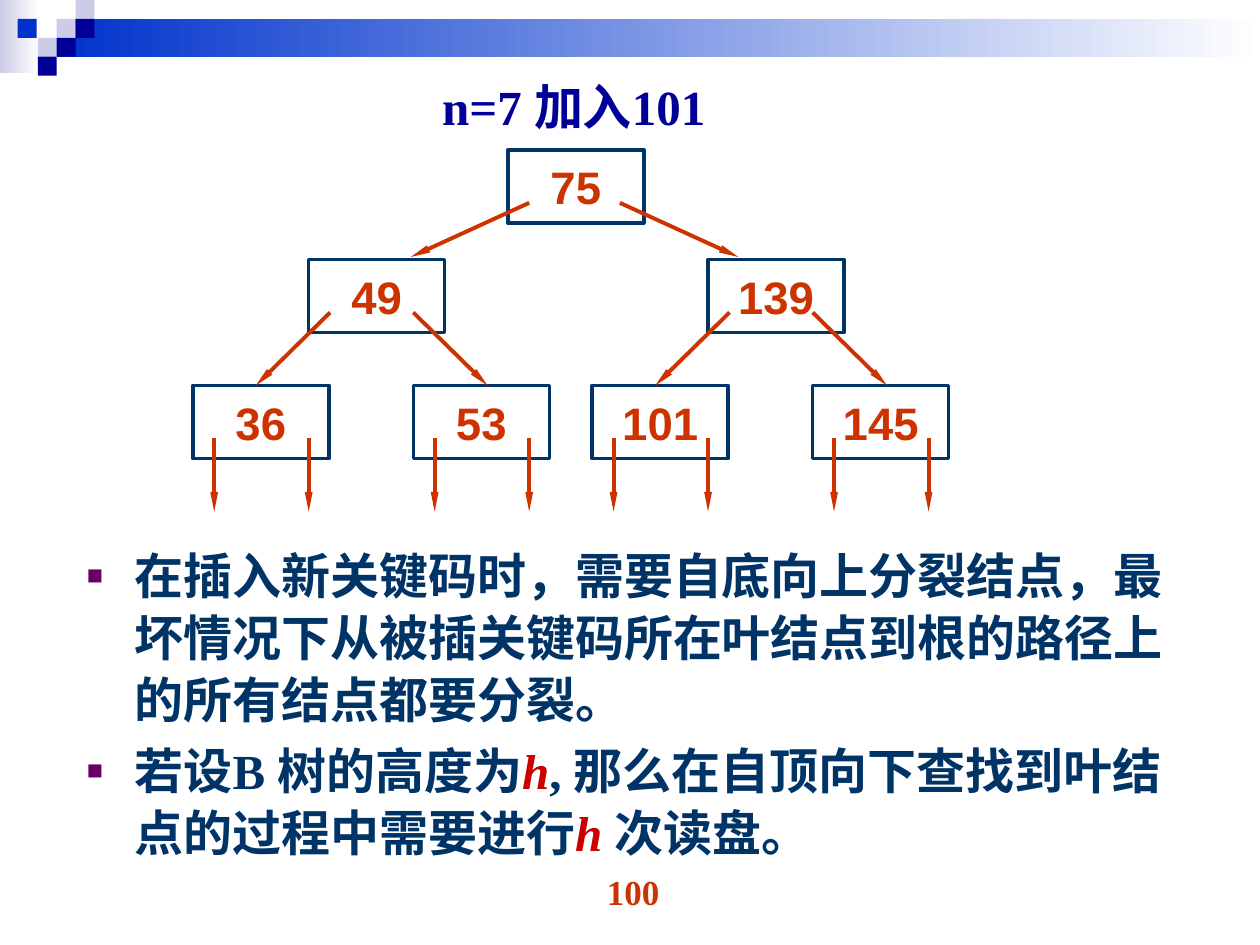
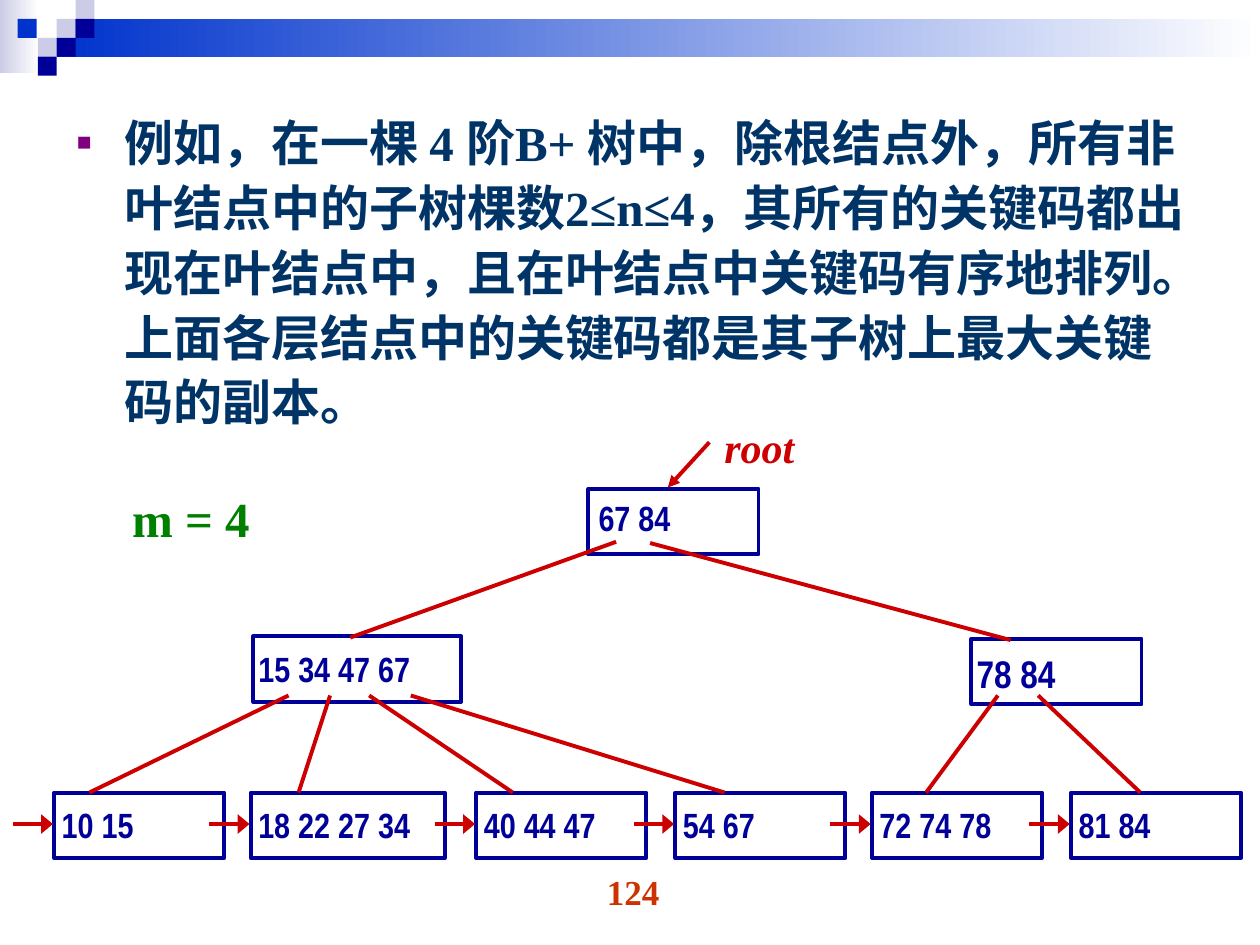
"""Build two slides that show a B tree insertion and a B+ tree of order 4."""
from lxml.etree import SubElement
from pptx import Presentation
from pptx.dml.color import RGBColor
from pptx.enum.shapes import MSO_CONNECTOR, MSO_SHAPE
from pptx.enum.text import MSO_ANCHOR, MSO_AUTO_SIZE, PP_ALIGN
from pptx.oxml.ns import qn
from pptx.util import Inches, Pt

COLORS = {
    name: RGBColor.from_string(value)
    for name, value in {
        "navy": "000099", "blue": "0033CC", "lavender": "CCCCE6", "white": "FFFFFF",
        "ink": "003366", "orange": "CC3300", "red": "CC0000", "green": "008000",
        "purple": "660066", "violet": "800080",
    }.items()
}
SERIF, SANS, NARROW = "Times New Roman", "Arial", "Arial Narrow"


def style_font(font, name, size, color, italic=False):
    font.name, font.size, font.bold, font.italic = name, Pt(size), True, italic
    font.color.rgb = COLORS[color]


def add_line(slide, start, end, color, head=None):
    line = slide.shapes.add_connector(
        MSO_CONNECTOR.STRAIGHT, *[Inches(value) for value in (*start, *end)])
    line.line.color.rgb = COLORS[color]
    line.line.width = Pt(2.25)
    if head:
        head_width, head_length = head
        SubElement(line.line._get_or_add_ln(), qn("a:tailEnd"),
                   type="triangle", w=head_width, len=head_length)
    SubElement(line._element.spPr, qn("a:effectLst"))


presentation = Presentation()
presentation.slide_width, presentation.slide_height = Inches(10), Inches(7.5)
layout = presentation.slide_layouts[1]
insertion_slide, plus_tree_slide = [presentation.slides.add_slide(layout) for _ in range(2)]

bands = [(0, 0, 0.31, 0.58, "lavender"), (0.45, 0.15, 9.55, 0.3, "blue")]
squares = [
    (0.45, 0.15, "lavender"), (0.6, 0, "lavender"), (0.6, 0.15, "navy"),
    (0.3, 0.3, "lavender"), (0.14, 0.15, "blue"), (0.45, 0.3, "navy"), (0.3, 0.45, "navy"),
]
for slide in presentation.slides:
    for left, top, width, height, color in bands:
        band = slide.shapes.add_shape(
            MSO_SHAPE.RECTANGLE, Inches(left), Inches(top), Inches(width), Inches(height))
        band.shadow.inherit = False
        band.line.fill.background()
        band.fill.gradient()
        band.fill.gradient_angle = 0
        for stop, stop_color in zip(band.fill.gradient_stops, (color, "white")):
            stop.color.rgb = COLORS[stop_color]
    for left, top, color in squares:
        square = slide.shapes.add_shape(
            MSO_SHAPE.RECTANGLE, Inches(left), Inches(top), Inches(0.15), Inches(0.15))
        square.shadow.inherit = False
        square.line.fill.background()
        square.fill.solid()
        square.fill.fore_color.rgb = COLORS[color]

title = insertion_slide.shapes.title
title.left, title.top, title.width, title.height = [
    Inches(value) for value in (3.41, 0.56, 2.8, 0.57)]
title.text_frame.text = "n=7 加入101"
title.text_frame.word_wrap = True
title.text_frame.auto_size = MSO_AUTO_SIZE.NONE
title.text_frame.vertical_anchor = MSO_ANCHOR.TOP
title.text_frame.paragraphs[0].alignment = PP_ALIGN.LEFT
style_font(title.text_frame.paragraphs[0].font, SERIF, 28, "navy")
empty_title = plus_tree_slide.shapes.title._element
empty_title.getparent().remove(empty_title)

insertion_points = [
    [("在插入新关键码时，需要自底向上分裂结点，最坏情况下从被插关键码所在叶结点到根的路径上的所有结点都要分裂。",
      SANS, "ink")],
    [("若", SANS, "ink"), ("设B 树的高度为", SERIF, "ink"), ("h", SERIF, "red"),
     (", 那么在自顶向下查找到叶结点的过程中需要进行", SERIF, "ink"),
     ("h ", SERIF, "red"), ("次读盘。", SERIF, "ink")],
]
plus_tree_points = [
    [("例如，在一棵 4 阶B+ 树中，除根结点外，所有非叶结点中的子树棵数2≤n≤4，其所有的关键码都出现在叶结点中，"
      "且在叶结点中关键码有序地排列。上面各层结点中的关键码都是其子树上最大关键码的副本。", SERIF, "ink")],
]
bodies = [
    (insertion_slide, (0.59, 4.26, 9, 2.95), insertion_points, 1.05, "purple", 55),
    (plus_tree_slide, (0.51, 0.8, 9, 6.18), plus_tree_points, 1.1, "violet", 50),
]
for slide, box, points, spacing, bullet_color, bullet_size in bodies:
    body = slide.placeholders[1]
    body.left, body.top, body.width, body.height = [Inches(value) for value in box]
    frame = body.text_frame
    frame.auto_size = MSO_AUTO_SIZE.NONE
    for index, runs in enumerate(points):
        paragraph = frame.add_paragraph() if index else frame.paragraphs[0]
        properties = paragraph._p.get_or_add_pPr()
        properties.set("marL", str(Inches(0.38)))
        properties.set("indent", str(Inches(-0.38)))
        bullet_fill = SubElement(properties, qn("a:buClr"))
        SubElement(bullet_fill, qn("a:srgbClr"), val=str(COLORS[bullet_color]))
        SubElement(properties, qn("a:buSzPct"), val=str(bullet_size * 1000))
        SubElement(properties, qn("a:buFont"), typeface=SANS)
        SubElement(properties, qn("a:buChar"), char="■")
        paragraph.line_spacing = spacing
        paragraph.space_before = Pt(5.2 if index else 0)
        for text, font_name, color in runs:
            run = paragraph.add_run()
            run.text = text
            style_font(run.font, font_name, 28, color, italic=color == "red")

tree_levels = [
    (1.19, [(4.03, "75")], 0.89, 0.94, 0.43),
    (2.06, [(2.45, "49"), (5.62, "139")], 0.83, 0.59, 0.58),
    (3.06, [(1.53, "36"), (3.28, "53"), (4.7, "101"), (6.45, "145")], 0.92, 0, 0.58),
]
for top, nodes, right_start, spread, drop in tree_levels:
    for left, key in nodes:
        node = insertion_slide.shapes.add_shape(
            MSO_SHAPE.RECTANGLE, Inches(left), Inches(top), Inches(1.08), Inches(0.58))
        node.shadow.inherit = False
        node.fill.solid()
        node.fill.fore_color.rgb = COLORS["white"]
        node.line.color.rgb = COLORS["ink"]
        node.line.width = Pt(2)
        node.text_frame.text = key
        node.text_frame.word_wrap = False
        node.text_frame.vertical_anchor = MSO_ANCHOR.MIDDLE
        node.text_frame.paragraphs[0].alignment = PP_ALIGN.CENTER
        style_font(node.text_frame.paragraphs[0].font, SANS, 26, "orange")
for top, nodes, right_start, spread, drop in tree_levels:
    for left, key in nodes:
        for offset, shift in ((0.17, -spread), (right_start, spread)):
            start = (left + offset, top + 0.42)
            end = (start[0] + shift, start[1] + drop)
            add_line(insertion_slide, start, end, "orange", head=("sm", "lg"))

leaves = [
    (0.43, 1.35, "10 15"), (1.99, 1.54, "18 22 27 34"), (3.78, 1.35, "40 44 47"),
    (5.36, 1.35, "54 67"), (6.92, 1.35, "72 74 78"), (8.5, 1.35, "81 84"),
]
key_boxes = [(left, 6.29, width, keys, 20, 0.06, 0.09) for left, width, keys in leaves] + [
    (2.01, 5.05, 1.65, "15 34 47 67", 20, 0.04, 0.09),
    (7.71, 5.07, 1.35, "78 84", 22, 0.04, 0.09),
    (4.67, 3.88, 1.35, "67 84", 20, 0.08, 0.06),
]
for left, top, width, keys, size, inset_left, inset_top in key_boxes:
    key_box = plus_tree_slide.shapes.add_shape(
        MSO_SHAPE.RECTANGLE, Inches(left), Inches(top), Inches(width), Inches(0.52))
    key_box.shadow.inherit = False
    key_box.fill.background()
    key_box.line.color.rgb = COLORS["navy"]
    key_box.line.width = Pt(2.25)
    frame = key_box.text_frame
    frame.text = keys
    frame.word_wrap = True
    frame.vertical_anchor = MSO_ANCHOR.TOP
    frame.margin_left, frame.margin_top = Inches(inset_left), Inches(inset_top)
    frame.margin_right = frame.margin_bottom = 0
    frame.paragraphs[0].alignment = PP_ALIGN.LEFT
    style_font(frame.paragraphs[0].font, NARROW, size, "navy")

for left, width, keys in leaves:
    add_line(plus_tree_slide, (left - 0.33, 6.54), (left - 0.01, 6.54), "red", head=("lg", "med"))
branches = [
    ((4.89, 4.3), (2.78, 5.06)), ((5.16, 4.31), (8.02, 5.08)),
    ((2.29, 5.52), (0.71, 6.29)), ((2.62, 5.52), (2.37, 6.29)),
    ((2.93, 5.52), (4.07, 6.29)), ((3.26, 5.52), (5.75, 6.29)),
    ((7.92, 5.52), (7.35, 6.29)), ((8.24, 5.52), (9.05, 6.29)),
]
for start, end in branches:
    add_line(plus_tree_slide, start, end, "red")
add_line(plus_tree_slide, (5.63, 3.51), (5.3, 3.87), "red", head=("med", "med"))

page_number_box = (3.86, 6.86, 2.33, 0.52)
labels = [
    (insertion_slide, page_number_box, "100", 20, "orange", PP_ALIGN.CENTER),
    (plus_tree_slide, page_number_box, "124", 20, "orange", PP_ALIGN.CENTER),
    (plus_tree_slide, (0.95, 3.83, 1.71, 0.7), "m = 4", 28, "green", PP_ALIGN.LEFT),
    (plus_tree_slide, (5.65, 3.3, 0.9, 0.5), "root", 24, "red", PP_ALIGN.LEFT),
]
for slide, box, text, size, color, alignment in labels:
    label = slide.shapes.add_textbox(*[Inches(value) for value in box])
    label.text_frame.text = text
    label.text_frame.word_wrap = True
    label.text_frame.paragraphs[0].alignment = alignment
    style_font(label.text_frame.paragraphs[0].font, SERIF, size, color, italic=text == "root")

presentation.save("out.pptx")
